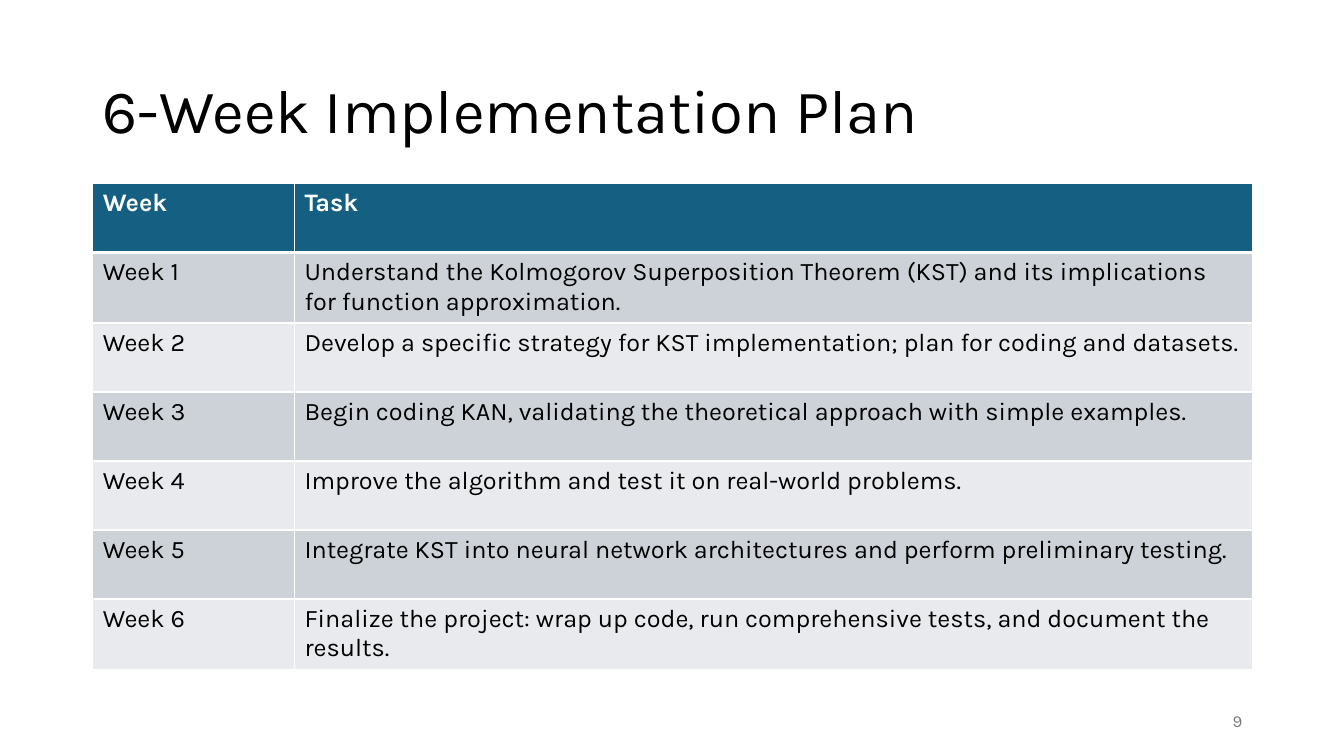
from lxml import etree
from pptx import Presentation
from pptx.dml.color import RGBColor
from pptx.enum.text import MSO_ANCHOR, PP_ALIGN
from pptx.oxml.ns import qn
from pptx.util import Inches, Pt

MIDDLE = MSO_ANCHOR.MIDDLE
LEFT, RIGHT = PP_ALIGN.LEFT, PP_ALIGN.RIGHT

FONT = "Karla"
BLACK = RGBColor(0x00, 0x00, 0x00)
WHITE = RGBColor(0xFF, 0xFF, 0xFF)
GREY = RGBColor(0x79, 0x79, 0x79)
HEADER_BLUE = RGBColor(0x15, 0x60, 0x82)
BAND_DARK = RGBColor(0xCC, 0xD2, 0xD8)
BAND_LIGHT = RGBColor(0xE8, 0xEA, 0xED)

TASKS = [
    "Understand the Kolmogorov Superposition Theorem (KST) and its implications "
    "for function approximation.",
    "Develop a specific strategy for KST implementation; plan for coding and datasets.",
    "Begin coding KAN, validating the theoretical approach with simple examples.",
    "Improve the algorithm and test it on real-world problems.",
    "Integrate KST into neural network architectures and perform preliminary testing.",
    "Finalize the project: wrap up code, run comprehensive tests, and document the results.",
]
COLUMN_WIDTHS = (2, 9.5)
TABLE_HEIGHT = 4.79


def write(frame, text, size, color, bold=False):
    frame.text = text
    font = frame.paragraphs[0].runs[0].font
    font.name = FONT
    font.size = Pt(size)
    font.bold = bold
    font.color.rgb = color


def add_label(slide, left, top, width, height, text, size, color, align=LEFT):
    label = slide.shapes.add_textbox(
        Inches(left), Inches(top), Inches(width), Inches(height))
    frame = label.text_frame
    frame.word_wrap = True
    frame.vertical_anchor = MIDDLE
    write(frame, text, size, color)
    frame.paragraphs[0].alignment = align
    return frame.paragraphs[0]


def set_borders(cell, widths):
    """Draw white borders; widths maps a side (L, R, T, B) to points."""
    properties = cell._tc.get_or_add_tcPr()
    for side, width in widths.items():
        line = etree.SubElement(properties, qn(f"a:ln{side}"), w=str(Pt(width)))
        fill = etree.SubElement(line, qn("a:solidFill"))
        etree.SubElement(fill, qn("a:srgbClr"), val=str(WHITE))


def add_plan_table(slide):
    rows = [("Week", "Task")]
    rows += [(f"Week {number}", task) for number, task in enumerate(TASKS, 1)]
    table = slide.shapes.add_table(
        len(rows), len(COLUMN_WIDTHS), Inches(0.92), Inches(1.82),
        Inches(sum(COLUMN_WIDTHS)), Inches(TABLE_HEIGHT)).table
    for column, width in zip(table.columns, COLUMN_WIDTHS):
        column.width = Inches(width)

    for row_index, texts in enumerate(rows):
        is_header = row_index == 0
        if is_header:
            background = HEADER_BLUE
        else:
            background = BAND_DARK if row_index % 2 else BAND_LIGHT
        widths = {"L": 1, "R": 1, "T": 3 if row_index == 1 else 1,
                  "B": 3 if is_header else 1}
        for column_index, text in enumerate(texts):
            cell = table.cell(row_index, column_index)
            set_borders(cell, widths)
            cell.fill.solid()
            cell.fill.fore_color.rgb = background
            write(cell.text_frame, text, 18,
                  WHITE if is_header else BLACK, bold=is_header)


def main():
    presentation = Presentation()
    presentation.slide_width = Inches(13.33)
    presentation.slide_height = Inches(7.5)
    slide = presentation.slides.add_slide(presentation.slide_layouts[6])

    add_label(slide, 9.42, 6.95, 3, 0.4, "9", 12, GREY, RIGHT)
    title = add_label(slide, 0.92, 0.4, 11.5, 1.45,
                      "6-Week Implementation Plan", 44, BLACK)
    title.line_spacing = 0.9
    add_plan_table(slide)

    presentation.save("out.pptx")


if __name__ == "__main__":
    main()
